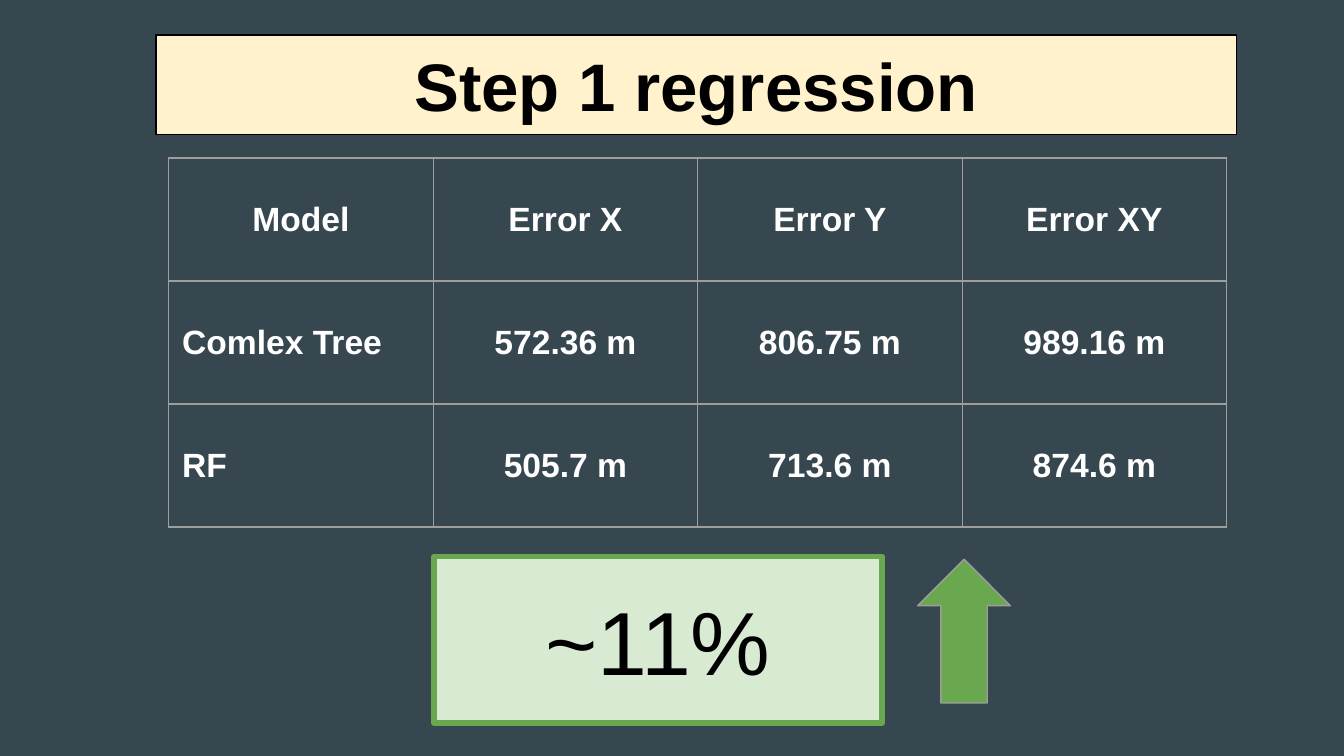
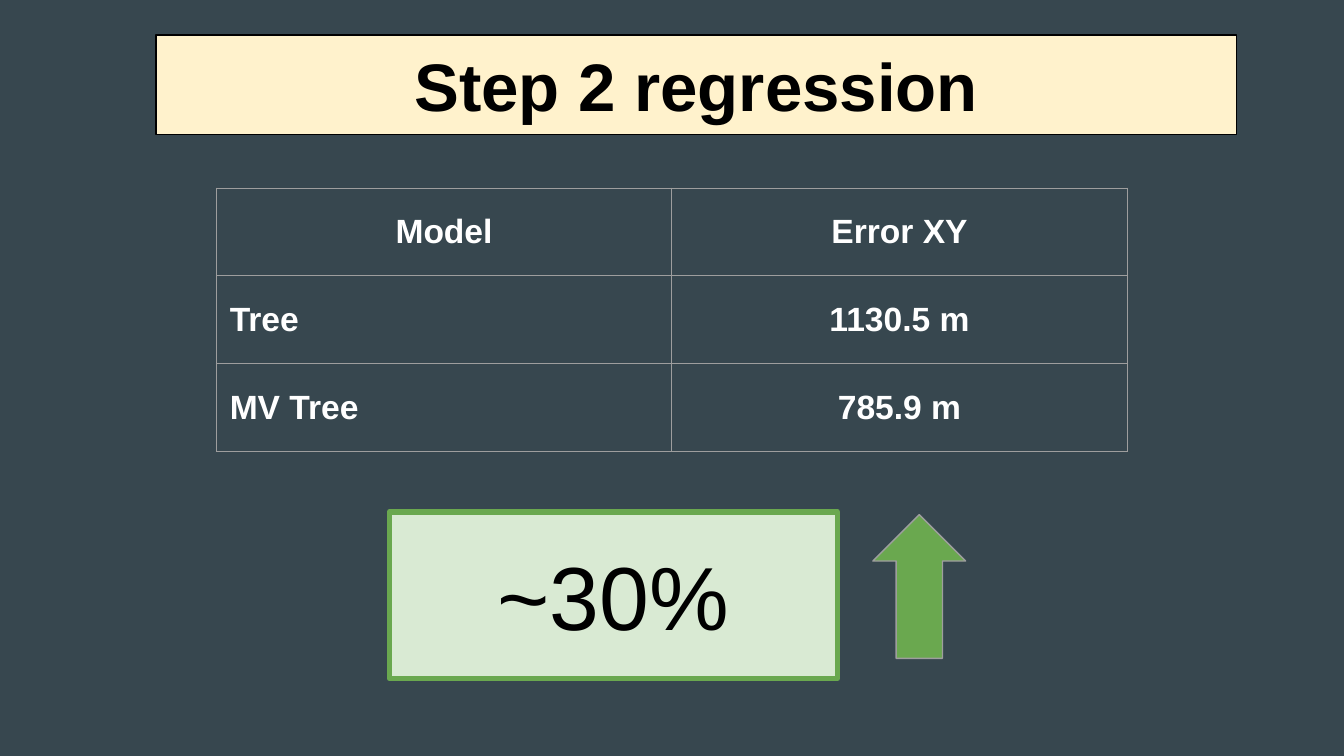
from dataclasses import dataclass

import pptx
import pptx.dml.color
import pptx.enum.shapes
import pptx.enum.text
import pptx.oxml
import pptx.oxml.ns
import pptx.util
from pptx.util import Pt

Align = pptx.enum.text.PP_ALIGN
Shape = pptx.enum.shapes.MSO_SHAPE


@dataclass(frozen=True)
class Theme:
    font: str = "Arial"
    back: str = "37474F"
    band: str = "FFF2CC"
    dark: str = "000000"
    light: str = "FFFFFF"
    grid: str = "9E9E9E"
    pale: str = "D9EAD3"
    green: str = "6AA84F"
    head: int = 36
    cell: int = 18
    gain: int = 48
    thin: float = 0.75
    thick: float = 3
    inset: float = 7.2


class Deck:
    def __init__(self, theme):
        self.theme = theme
        self.show = pptx.Presentation()
        self.show.slide_width, self.show.slide_height = Pt(720), Pt(405)
        self.paint(self.show.slide_master.background.fill, theme.back)
        self.slide = None

    def color(self, code):
        return pptx.dml.color.RGBColor.from_string(code)

    def paint(self, fill, code):
        fill.solid()
        fill.fore_color.rgb = self.color(code)

    def style(self, shape, fill, line, width):
        self.paint(shape.fill, fill)
        self.paint(shape.line.fill, line)
        shape.line.width = Pt(width)

    def put(self, frame, text, size, code, bold=False, align=Align.CENTER):
        frame.text = text
        para = frame.paragraphs[0]
        para.alignment = align
        para.font.name = self.theme.font
        para.font.size = Pt(size)
        para.font.bold = bold
        para.font.color.rgb = self.color(code)

    def pad(self, item):
        item.margin_left = item.margin_right = Pt(self.theme.inset)
        item.margin_top = item.margin_bottom = Pt(self.theme.inset)
        item.vertical_anchor = pptx.enum.text.MSO_ANCHOR.MIDDLE

    def label(self, shape, text, size, bold=False):
        frame = shape.text_frame
        self.pad(frame)
        frame.word_wrap = True
        frame.auto_size = pptx.enum.text.MSO_AUTO_SIZE.NONE
        self.put(frame, text, size, self.theme.dark, bold)

    def shape(self, kind, left, top, width, height):
        shape = self.slide.shapes.add_shape(
            kind, Pt(left), Pt(top), Pt(width), Pt(height))
        shape.shadow.inherit = False
        return shape

    def title(self, text):
        self.slide = self.show.slides.add_slide(self.show.slide_layouts[5])
        title = self.slide.shapes.title
        title.left, title.top = Pt(83.5), Pt(18.8)
        title.width, title.height = Pt(579), Pt(53.2)
        self.style(title, self.theme.band, self.theme.dark, self.theme.thin)
        self.label(title, text, self.theme.head, True)

    def border(self, cell):
        props = cell._tc.get_or_add_tcPr()
        for spot, side in enumerate("LRTB"):
            line = pptx.oxml.parse_xml(
                f'<a:ln{side} {pptx.oxml.ns.nsdecls("a")} '
                f'w="{Pt(self.theme.thin)}"><a:solidFill>'
                f'<a:srgbClr val="{self.theme.grid}"/>'
                f'</a:solidFill></a:ln{side}>')
            props.insert(spot, line)

    def table(self, left, top, width, height, rows):
        frame = self.slide.shapes.add_table(
            len(rows), len(rows[0]), Pt(left), Pt(top),
            Pt(width * len(rows[0])), Pt(height * len(rows)))
        table = frame.table
        table.first_row = table.horz_banding = False
        for col in table.columns:
            col.width = Pt(width)
        for y, row in enumerate(rows):
            table.rows[y].height = Pt(height)
            for x, text in enumerate(row):
                cell = table.cell(y, x)
                cell.fill.background()
                self.pad(cell)
                align = Align.LEFT if y and not x else Align.CENTER
                self.put(cell.text_frame, text, self.theme.cell,
                         self.theme.light, True, align)
                self.border(cell)

    def gain(self, left, top, text):
        theme = self.theme
        box = self.shape(Shape.RECTANGLE, left, top, 240, 89.3)
        self.style(box, theme.pale, theme.green, theme.thick)
        edge = box.line.fill._xPr
        edge.append(pptx.oxml.parse_xml(
            f'<a:round {pptx.oxml.ns.nsdecls("a")}/>'))
        self.label(box, text, theme.gain)
        arrow = self.shape(Shape.DOWN_ARROW, left + 259, top + 1.5, 49.7, 77)
        arrow.rotation = 180
        self.style(arrow, theme.green, theme.grid, theme.thin)


def main():
    deck = Deck(Theme())

    deck.title("Step 1 regression")
    deck.table(90.4, 84.7, 141.7, 65.9, [
        ["Model", "Error X", "Error Y", "Error XY"],
        ["Comlex Tree", "572.36 m", "806.75 m", "989.16 m"],
        ["RF", "505.7 m", "713.6 m", "874.6 m"],
    ])
    deck.gain(232.6, 298.1, "~11%")

    deck.title("Step 2 regression")
    deck.table(115.9, 100.8, 244, 47, [
        ["Model", "Error XY"],
        ["Tree", "1130.5 m"],
        ["MV Tree", "785.9 m"],
    ])
    deck.gain(208.6, 274.2, "~30%")

    deck.show.save("out.pptx")


if __name__ == "__main__":
    main()
